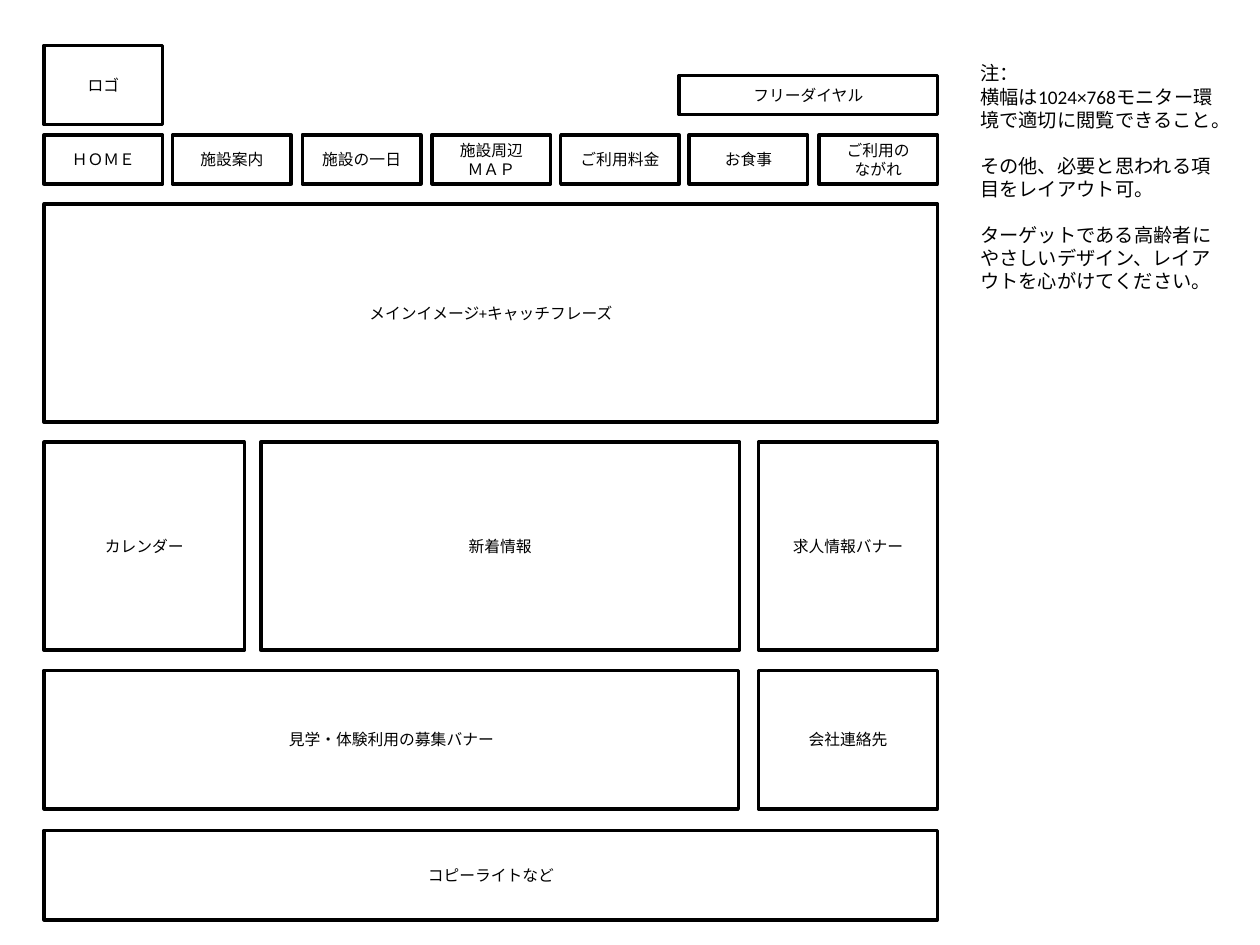
"""Build a home page wireframe with layout notes beside it."""
from pptx import Presentation
from pptx.dml.color import RGBColor
from pptx.enum.shapes import MSO_SHAPE
from pptx.enum.text import MSO_ANCHOR, PP_ALIGN
from pptx.util import Emu, Pt

RECTANGLE = MSO_SHAPE.RECTANGLE
MIDDLE = MSO_ANCHOR.MIDDLE
CENTER = PP_ALIGN.CENTER
LEFT = PP_ALIGN.LEFT
BLACK = RGBColor(0x00, 0x00, 0x00)
WHITE = RGBColor(0xFF, 0xFF, 0xFF)
PX = 9144
FONT = "Calibri"


def format_paragraph(paragraph, text, size, alignment):
    paragraph.text = text
    paragraph.alignment = alignment
    paragraph.font.name = FONT
    paragraph.font.size = Pt(size)
    paragraph.font.color.rgb = BLACK


def add_block(page, text, left, top, width, height):
    box = page.shapes.add_shape(RECTANGLE, *(Emu(n * PX) for n in (left, top, width, height)))
    box.shadow.inherit = False
    box.fill.solid()
    box.fill.fore_color.rgb = WHITE
    box.line.color.rgb = BLACK
    box.line.width = Pt(2)
    frame = box.text_frame
    frame.word_wrap = True
    frame.vertical_anchor = MIDDLE
    format_paragraph(frame.paragraphs[0], text, 9, CENTER)


deck = Presentation()
deck.slide_width = Emu(1000 * PX)
deck.slide_height = Emu(750 * PX)
page = deck.slides.add_slide(deck.slide_layouts[6])

MARGIN = 35
CONTENT_WIDTH = 709
MENU_WIDTH = 94
menu = ["ＨＯＭＥ", "施設案内", "施設の一日", "施設周辺\vＭＡＰ", "ご利用料金", "お食事", "ご利用の\vながれ"]
menu_step = (CONTENT_WIDTH - MENU_WIDTH) / (len(menu) - 1)
for index, label in enumerate(menu):
    add_block(page, label, MARGIN + round(index * menu_step), 107, MENU_WIDTH, 39)

sections = [
    ("ロゴ", MARGIN, 36, MENU_WIDTH, 63),
    ("フリーダイヤル", 539, 60, 205, 31),
    ("メインイメージ+キャッチフレーズ", MARGIN, 162, CONTENT_WIDTH, 173),
    ("カレンダー", MARGIN, 351, 159, 165),
    ("新着情報", 207, 351, 380, 165),
    ("求人情報バナー", 602, 351, 142, 165),
    ("見学・体験利用の募集バナー", MARGIN, 532, 551, 110),
    ("会社連絡先", 602, 532, 142, 110),
    ("コピーライトなど", MARGIN, 659, CONTENT_WIDTH, 71),
]
for section in sections:
    add_block(page, *section)

notes = [
    ("注：", 0),
    ("横幅は1024×768モニター環境で適切に閲覧できること。", 0),
    ("その他、必要と思われる項目をレイアウト可。", 13),
    ("ターゲットである高齢者にやさしいデザイン、レイアウトを心がけてください。", 13),
]
note_box = page.shapes.add_textbox(Emu(768 * PX), Emu(44 * PX), Emu(205 * PX), Emu(212 * PX))
note_frame = note_box.text_frame
note_frame.word_wrap = True
for index, (text, gap) in enumerate(notes):
    paragraph = note_frame.add_paragraph() if index else note_frame.paragraphs[0]
    format_paragraph(paragraph, text, 11, LEFT)
    paragraph.space_before = Pt(gap)

deck.save("out.pptx")
